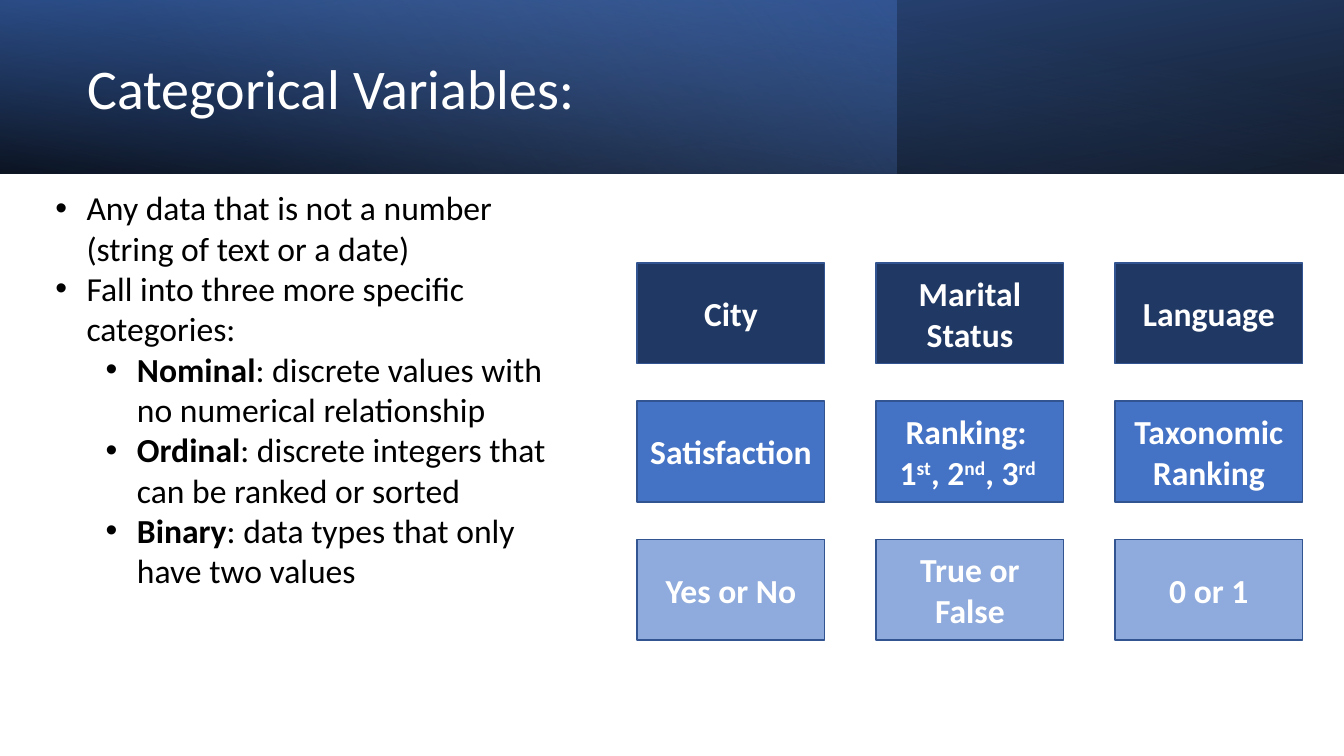
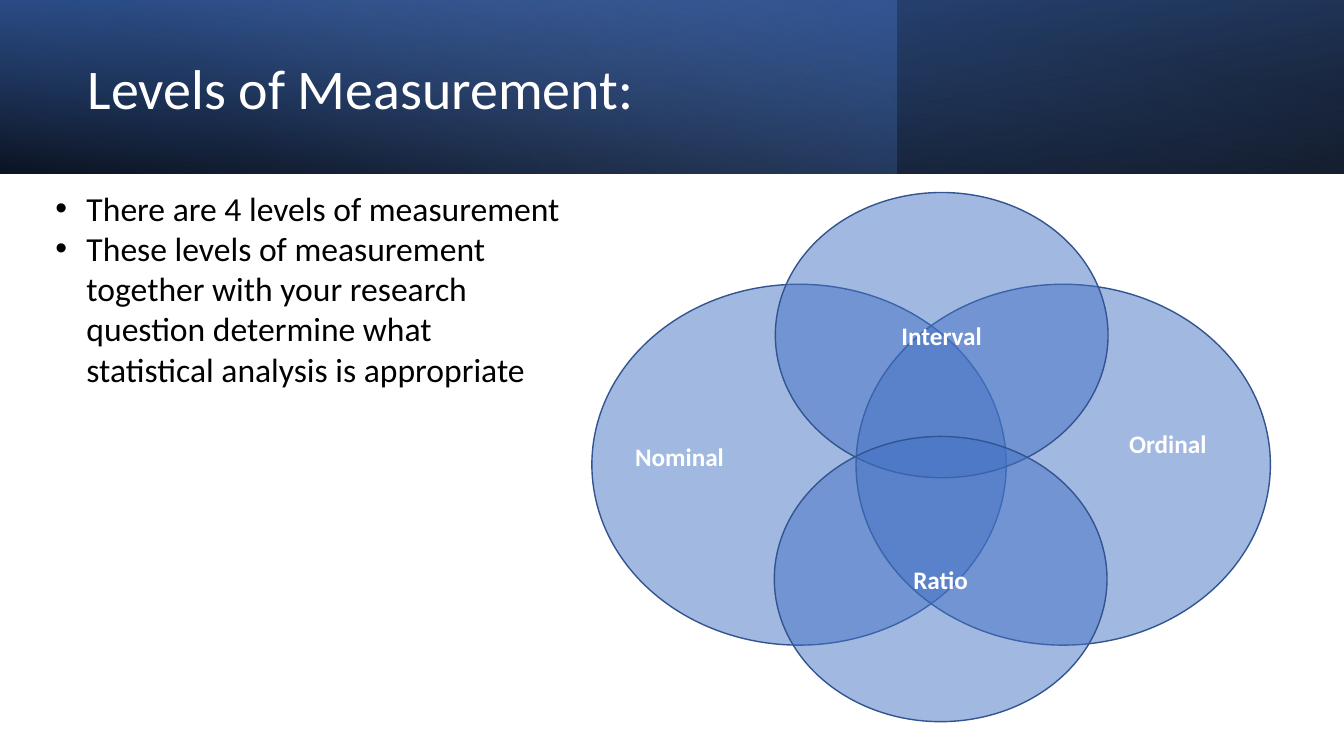
from dataclasses import dataclass
from typing import Any, NamedTuple, Optional

from lxml.etree import SubElement
from pptx import Presentation
from pptx.dml.color import RGBColor
from pptx.enum.shapes import MSO_SHAPE as Preset
from pptx.enum.text import MSO_ANCHOR as Anchor, MSO_AUTO_SIZE as AutoSize, PP_ALIGN as Align
from pptx.oxml.ns import qn
from pptx.util import Inches, Pt


@dataclass(frozen=True)
class Theme:
    font: str = "Calibri"
    bullet_font: str = "Arial"
    white: str = "FFFFFF"
    black: str = "000000"
    navy: str = "203864"
    deep_blue: str = "2F5597"
    blue: str = "4472C4"
    light_blue: str = "8FAADC"
    outline: str = "325491"
    title_size: int = 40
    body_size: int = 24
    label_size: int = 18


THEME = Theme()


class Box(NamedTuple):
    left: float
    top: float
    width: float
    height: float


class Piece(NamedTuple):
    text: str
    bold: bool = False
    raised: bool = False


class Bullet(NamedTuple):
    pieces: tuple[Piece, ...]
    level: int = 0


class Stop(NamedTuple):
    position: float
    color: str
    opacity: int = 100


class Band(NamedTuple):
    width: float
    angle: int
    stops: tuple[Stop, Stop]
    flipped: bool = False
    rotation: int = 0


class Oval(NamedTuple):
    box: Box
    label: str = ""


class Label(NamedTuple):
    text: str
    left: float
    top: float


SLIDE_WIDTH, SLIDE_HEIGHT, BAND_HEIGHT = 13.33, 7.5, 1.72
BANDS = (
    Band(SLIDE_WIDTH, 100, (Stop(0, THEME.black, 96), Stop(1, THEME.deep_blue)), True, 180),
    Band(8.89, 140, (Stop(0, THEME.blue, 41), Stop(0.74, THEME.light_blue, 0))),
    Band(SLIDE_WIDTH, 260, (Stop(0, THEME.black, 63), Stop(0.78, THEME.blue, 15)), True),
)


def apply(target: Any, values: dict[str, Any]) -> None:
    for name, value in values.items():
        setattr(target, name, value)


def place(shape: Any, box: Box) -> None:
    apply(shape, {name: Inches(value) for name, value in box._asdict().items()})


def write(paragraph: Any, pieces: tuple[Piece, ...], size: int, color: str) -> None:
    for piece in pieces:
        if piece.text == "\n":
            paragraph.add_line_break()
            continue
        run = paragraph.add_run()
        run.text = piece.text
        apply(run.font, {"name": THEME.font, "size": Pt(size), "bold": piece.bold})
        run.font.color.rgb = RGBColor.from_string(color)
        if piece.raised:
            run.font._element.set("baseline", "30000")


def set_opacity(shape: Any, opacities: tuple[int, ...]) -> None:
    colors = list(shape.element.spPr.iter(qn("a:srgbClr")))
    for color, opacity in zip(colors, opacities):
        SubElement(color, qn("a:alpha")).set("val", str(opacity * 1000))


def add_preset(slide: Any, preset: Any, box: Box, fill: str, opacity: int = 100,
               pieces: tuple[Piece, ...] = (), size: int = THEME.body_size) -> None:
    shape = slide.shapes.add_shape(preset, *map(Inches, box))
    shape.shadow.inherit = False
    shape.fill.solid()
    shape.fill.fore_color.rgb = RGBColor.from_string(fill)
    if opacity < 100:
        set_opacity(shape, (opacity,))
    shape.line.color.rgb = RGBColor.from_string(THEME.outline)
    shape.line.width = Pt(1)
    apply(shape.text_frame, {"word_wrap": True, "vertical_anchor": Anchor.MIDDLE})
    paragraph = shape.text_frame.paragraphs[0]
    paragraph.alignment = Align.CENTER
    write(paragraph, pieces, size, THEME.white)


def add_band(slide: Any, band: Band) -> None:
    shape = slide.shapes.add_shape(Preset.RECTANGLE, 0, 0, Inches(band.width), Inches(BAND_HEIGHT))
    shape.shadow.inherit = False
    shape.line.fill.background()
    shape.fill.gradient()
    shape.fill.gradient_angle = 360 - band.angle
    for gradient_stop, stop in zip(shape.fill.gradient_stops, band.stops):
        gradient_stop.position = stop.position
        gradient_stop.color.rgb = RGBColor.from_string(stop.color)
    set_opacity(shape, tuple(stop.opacity for stop in band.stops))
    shape.rotation = band.rotation
    if band.flipped:
        shape.element.spPr.find(qn("a:xfrm")).set("flipH", "1")


def add_titled_slide(presentation: Any, text: str, title_width: float) -> Any:
    slide = presentation.slides.add_slide(presentation.slide_layouts[5])
    for band in BANDS:
        add_band(slide, band)
    title = slide.shapes.title
    slide.shapes.element.append(title.element)
    place(title, Box(0.77, 0.27, title_width, 1.27))
    apply(title.text_frame, {"word_wrap": True, "vertical_anchor": Anchor.MIDDLE,
                             "auto_size": AutoSize.NONE})
    paragraph = title.text_frame.paragraphs[0]
    apply(paragraph, {"alignment": Align.LEFT, "line_spacing": 0.9})
    write(paragraph, (Piece(text),), THEME.title_size, THEME.white)
    return slide


def add_text_frame(slide: Any, box: Box) -> Any:
    frame = slide.shapes.add_textbox(*map(Inches, box)).text_frame
    apply(frame, {"word_wrap": True, "auto_size": AutoSize.SHAPE_TO_FIT_TEXT})
    return frame


def add_bullets(slide: Any, box: Box, bullets: tuple[Bullet, ...]) -> None:
    frame = add_text_frame(slide, box)
    for index, bullet in enumerate(bullets):
        paragraph = frame.add_paragraph() if index else frame.paragraphs[0]
        paragraph.level = bullet.level
        properties = paragraph._p.get_or_add_pPr()
        properties.set("marL", str(Inches(0.31 + 0.5 * bullet.level)))
        properties.set("indent", str(-Inches(0.31)))
        SubElement(properties, qn("a:buFont")).set("typeface", THEME.bullet_font)
        SubElement(properties, qn("a:buChar")).set("char", "•")
        write(paragraph, bullet.pieces, THEME.body_size, THEME.black)


def definition(term: str, meaning: str) -> Bullet:
    return Bullet((Piece(term, bold=True), Piece(f": {meaning}")), level=1)


def strong(text: str, raised: bool = False) -> Piece:
    return Piece(text, bold=True, raised=raised)


def build_categorical(presentation: Any) -> None:
    slide = add_titled_slide(presentation, "Categorical Variables: ", 7.72)
    add_bullets(slide, Box(0.45, 1.81, 5.42, 4.14), (
        Bullet((Piece("Any data that is not a number (string of text or a date)"),)),
        Bullet((Piece("Fall into three more specific categories:"),)),
        definition("Nominal", "discrete values with no numerical relationship"),
        definition("Ordinal", "discrete integers that can be ranked or sorted"),
        definition("Binary", "data types that only have two values"),
    ))
    ranking = (strong("Ranking: "), Piece("\n"), strong("1"), strong("st", True), strong(", 2"),
               strong("nd", True), strong(", 3"), strong("rd ", True))
    example_rows = (
        (THEME.navy, ((strong("City"),), (strong("Marital Status"),), (strong("Language"),))),
        (THEME.blue, ((strong("Satisfaction"),), ranking, (strong("Taxonomic Ranking"),))),
        (THEME.light_blue, ((strong("Yes or No"),), (strong("True or False"),), (strong("0 or 1"),))),
    )
    for row, (fill, examples) in enumerate(example_rows):
        for column, pieces in enumerate(examples):
            box = Box(6.32 + 2.37 * column, 2.61 + 1.37 * row, 1.86, 1)
            add_preset(slide, Preset.RECTANGLE, box, fill, pieces=pieces)


def add_oval(slide: Any, oval: Oval) -> None:
    pieces = (strong(oval.label),) if oval.label else ()
    add_preset(slide, Preset.OVAL, oval.box, THEME.blue, 50, pieces, THEME.label_size)


def build_levels(presentation: Any) -> None:
    slide = add_titled_slide(presentation, "Levels of Measurement: ", 8.37)
    add_bullets(slide, Box(0.45, 1.81, 5.2, 2.52), (
        Bullet((Piece("There are 4 levels of measurement"),)),
        Bullet((Piece("These levels of measurement together with your research question "
                      "determine what statistical analysis is appropriate"),)),
    ))
    for left in (5.87, 8.49):
        add_oval(slide, Oval(Box(left, 2.82, 4.11, 3.58)))
    for label in (Label("Nominal", 6.2, 4.33), Label("Ordinal", 11.1, 4.2)):
        frame = add_text_frame(slide, Box(label.left, label.top, 1.16, 0.4))
        write(frame.paragraphs[0], (strong(label.text),), THEME.label_size, THEME.white)
    add_oval(slide, Oval(Box(7.69, 1.91, 3.3, 2.83), "Interval"))
    add_oval(slide, Oval(Box(7.68, 4.33, 3.3, 2.83), "Ratio"))


def main() -> None:
    presentation = Presentation()
    apply(presentation, {"slide_width": Inches(SLIDE_WIDTH), "slide_height": Inches(SLIDE_HEIGHT)})
    build_categorical(presentation)
    build_levels(presentation)
    presentation.save("out.pptx")


main()
